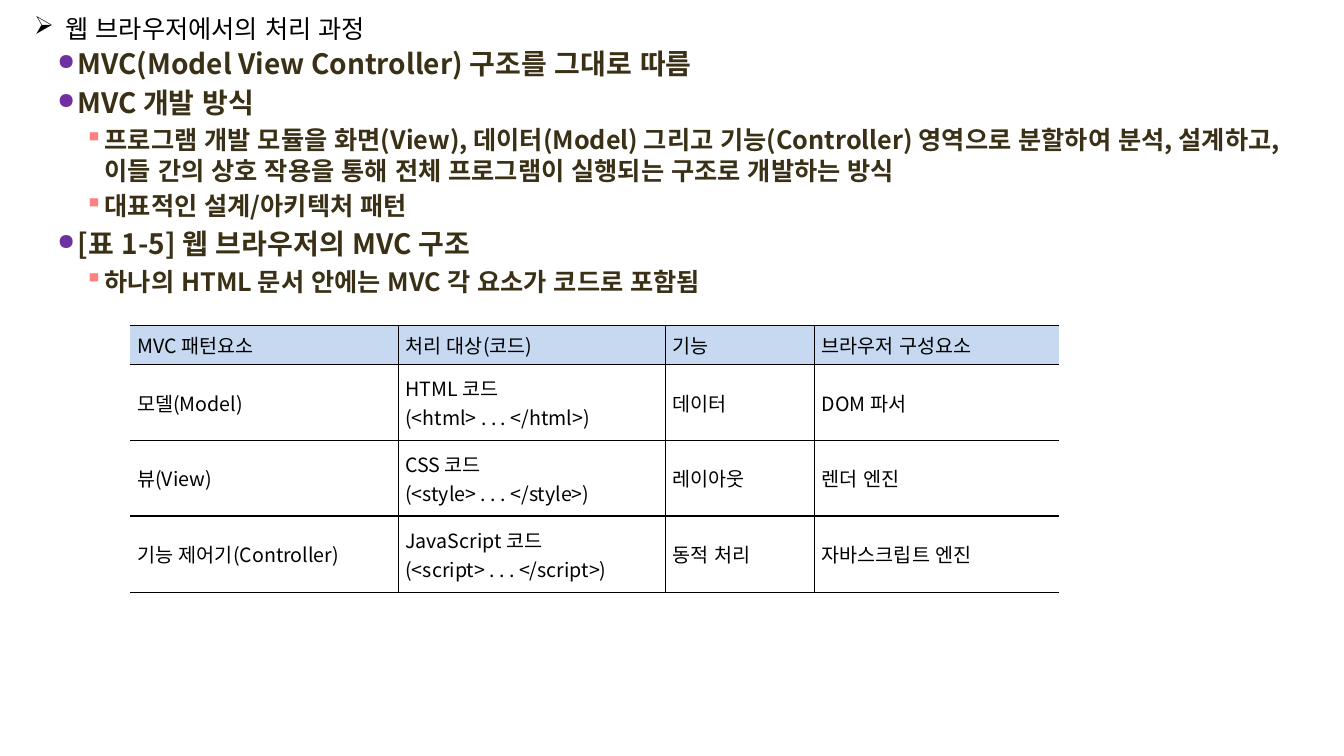
"""Build the slide on MVC processing in the web browser."""
from dataclasses import dataclass

from lxml.etree import SubElement
from pptx import Presentation
from pptx.dml.color import RGBColor
from pptx.enum.lang import MSO_LANGUAGE_ID
from pptx.enum.text import MSO_ANCHOR, MSO_AUTO_SIZE, PP_ALIGN
from pptx.oxml import parse_xml
from pptx.oxml.ns import nsdecls, qn
from pptx.util import Inches, Pt


@dataclass(frozen=True)
class Theme:
    font: str = "Noto Sans CJK KR"
    symbols: str = "OpenSymbol"
    black: str = "000000"
    brown: str = "3A3016"
    purple: str = "7030A0"
    coral: str = "FF8080"
    header: str = "C6D9F1"
    title: int = 18
    point: int = 20
    detail: int = 18
    cell: int = 14


THEME = Theme()


def write(p, text, size, color=THEME.black, bold=False, align=PP_ALIGN.LEFT):
    p.alignment = align
    r = p.add_run()
    r.text = text
    r.font.size = Pt(size)
    r.font.bold = bold
    r.font.language_id = MSO_LANGUAGE_ID.KOREAN
    r.font.color.rgb = RGBColor.from_string(color)
    r.font.name = THEME.font
    r.font._element.set("kern", "0")
    SubElement(r.font._element, qn("a:ea"), typeface=THEME.font)


def add_bullet(p, char, margin, hang, color=THEME.black, scale=100):
    pPr = p._p.get_or_add_pPr()
    pPr.set("marL", str(Inches(margin)))
    pPr.set("indent", str(-Inches(hang)))
    clr = SubElement(pPr, qn("a:buClr"))
    SubElement(clr, qn("a:srgbClr"), val=color)
    SubElement(pPr, qn("a:buSzPct"), val=str(scale * 1000))
    SubElement(pPr, qn("a:buFont"), typeface=THEME.symbols)
    SubElement(pPr, qn("a:buChar"), char=char)


prs = Presentation()
prs.slide_width, prs.slide_height = Inches(13.33), Inches(7.5)
slide = prs.slides.add_slide(prs.slide_layouts[6])

title = slide.shapes.add_textbox(Inches(0.24), Inches(0.08), Inches(3.82), Inches(0.4))
tf = title.text_frame
tf.word_wrap = False
tf.auto_size = MSO_AUTO_SIZE.SHAPE_TO_FIT_TEXT
p = tf.paragraphs[0]
write(p, "웹 브라우저에서의 처리 과정", THEME.title)
add_bullet(p, "➢", 0.31, 0.31)

outline = [
    (0, "MVC(Model View Controller) 구조를 그대로 따름"),
    (0, "MVC 개발 방식"),
    (1, "프로그램 개발 모듈을 화면(View), 데이터(Model) 그리고 기능(Controller) 영역으로 "
        "분할하여 분석, 설계하고, 이들 간의 상호 작용을 통해 전체 프로그램이 실행되는 구조로 개발하는 방식"),
    (1, "대표적인 설계/아키텍처 패턴"),
    (0, "[표 1-5] 웹 브라우저의 MVC 구조"),
    (1, "하나의 HTML 문서 안에는 MVC 각 요소가 코드로 포함됨"),
]
levels = [
    (THEME.point, ("●", 0.2, 0.2, THEME.purple, 80)),
    (THEME.detail, ("▪", 0.47, 0.2, THEME.coral)),
]
body = slide.shapes.add_textbox(Inches(0.47), Inches(0.41), Inches(12.7), Inches(2.81))
tf = body.text_frame
tf.word_wrap = True
tf.margin_right = Inches(0.3)
for i, (level, text) in enumerate(outline):
    p = tf.add_paragraph() if i else tf.paragraphs[0]
    size, bullet = levels[level]
    p.level = level
    p.space_before = Pt(4)
    write(p, text, size, color=THEME.brown, bold=True)
    add_bullet(p, *bullet)

rows = [
    ["MVC 패턴요소", "처리 대상(코드)", "기능", "브라우저 구성요소"],
    ["모델(Model)", "HTML 코드\n(<html> . . . </html>)", "데이터", "DOM 파서"],
    ["뷰(View)", "CSS 코드\n(<style> . . . </style>)", "레이아웃", "렌더 엔진"],
    ["기능 제어기(Controller)", "JavaScript 코드\n(<script> . . . </script>)", "동적 처리", "자바스크립트 엔진"],
]
widths = [2.66, 2.65, 1.48, 2.42]
heights = [0.39, 0.75, 0.75, 0.76]
table = slide.shapes.add_table(
    len(rows), len(widths), Inches(1.29), Inches(3.23), Inches(sum(widths)), Inches(sum(heights))
).table
table.first_row = table.horz_banding = False
for column, width in zip(table.columns, widths):
    column.width = Inches(width)
for row, height in zip(table.rows, heights):
    row.height = Inches(height)

for i, row in enumerate(rows):
    for j, text in enumerate(row):
        cell = table.cell(i, j)
        cell.vertical_anchor = MSO_ANCHOR.MIDDLE
        cell.margin_left = cell.margin_right = Inches(0.07)
        cell.margin_top = cell.margin_bottom = 0
        if i == 0:
            cell.fill.solid()
            cell.fill.fore_color.rgb = RGBColor.from_string(THEME.header)
        else:
            cell.fill.background()
        for k, line in enumerate(text.split("\n")):
            p = cell.text_frame.add_paragraph() if k else cell.text_frame.paragraphs[0]
            write(p, line, THEME.cell, align=PP_ALIGN.JUSTIFY)
        edges = {"L": j > 0, "R": j < len(row) - 1, "T": True, "B": True}
        for k, (side, drawn) in enumerate(edges.items()):
            paint = f'<a:solidFill><a:srgbClr val="{THEME.black}"/></a:solidFill>' if drawn else "<a:noFill/>"
            border = parse_xml(f'<a:ln{side} {nsdecls("a")} w="{Pt(1)}">{paint}</a:ln{side}>')
            cell._tc.get_or_add_tcPr().insert(k, border)

prs.save("out.pptx")
